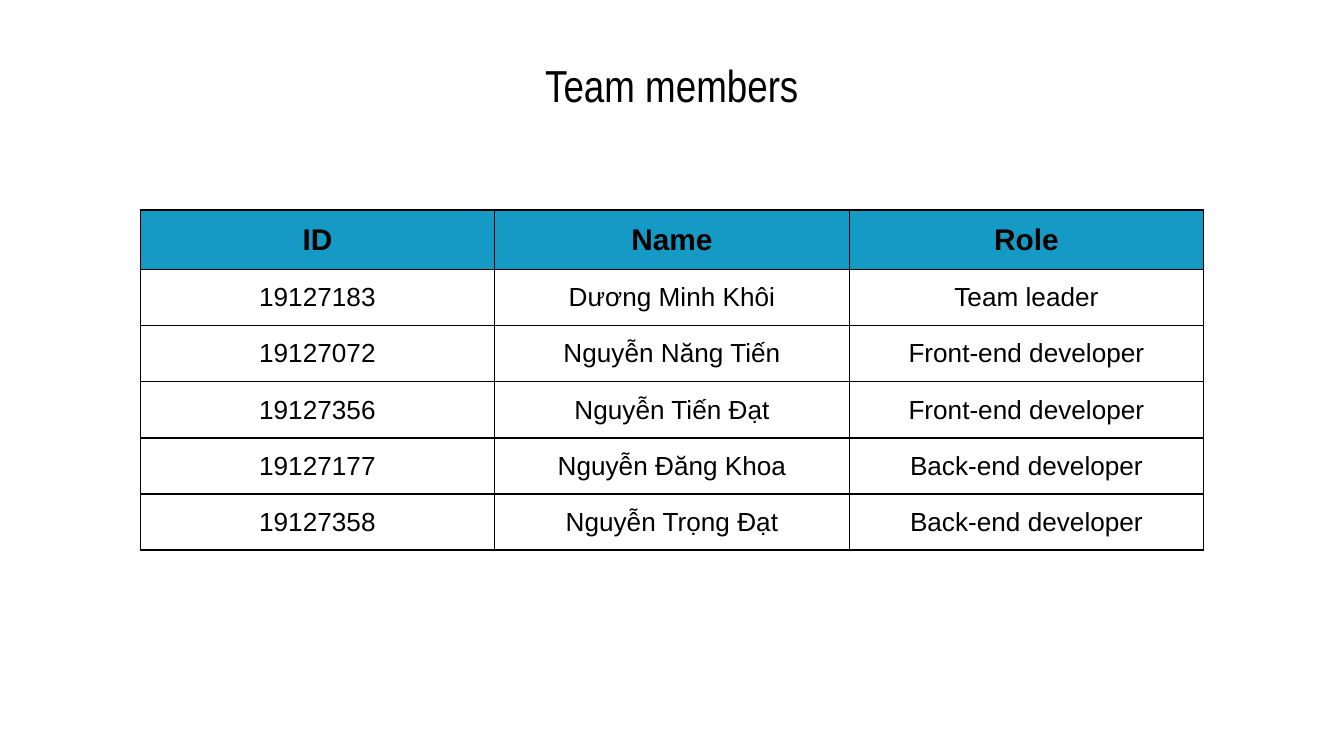
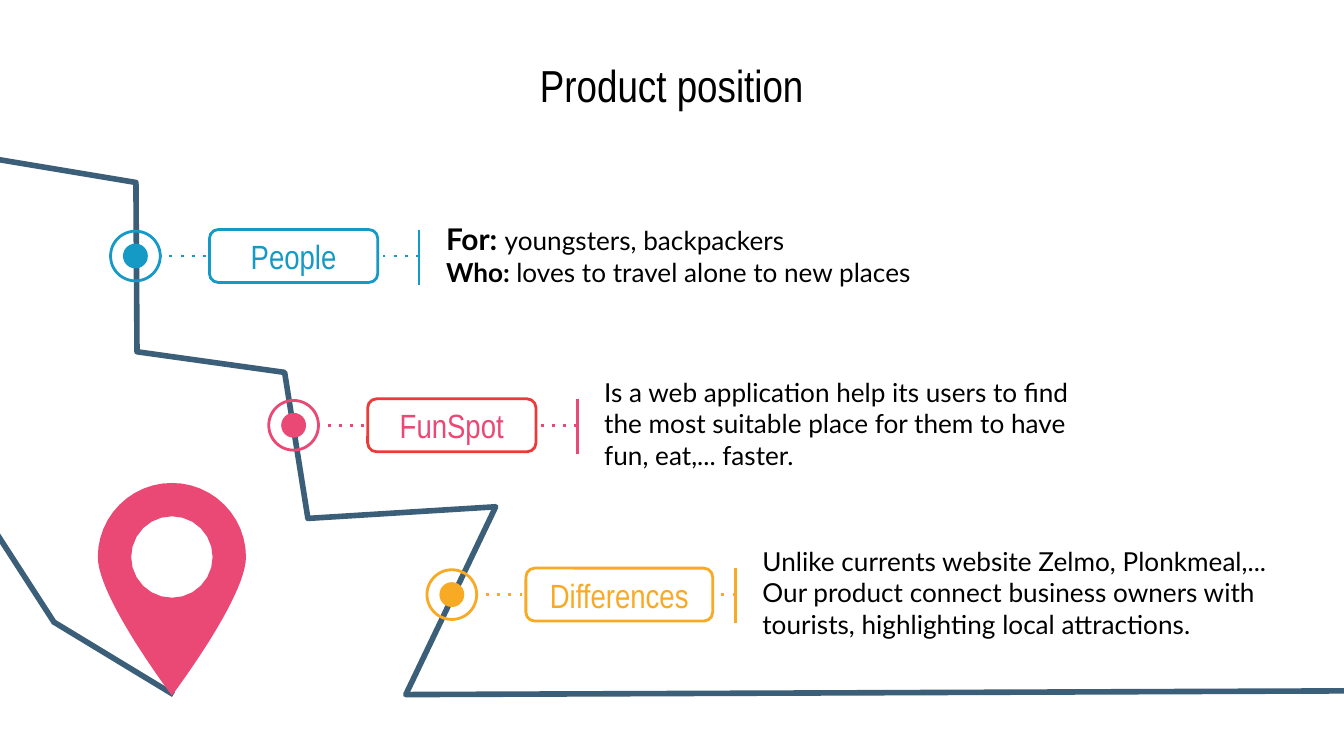
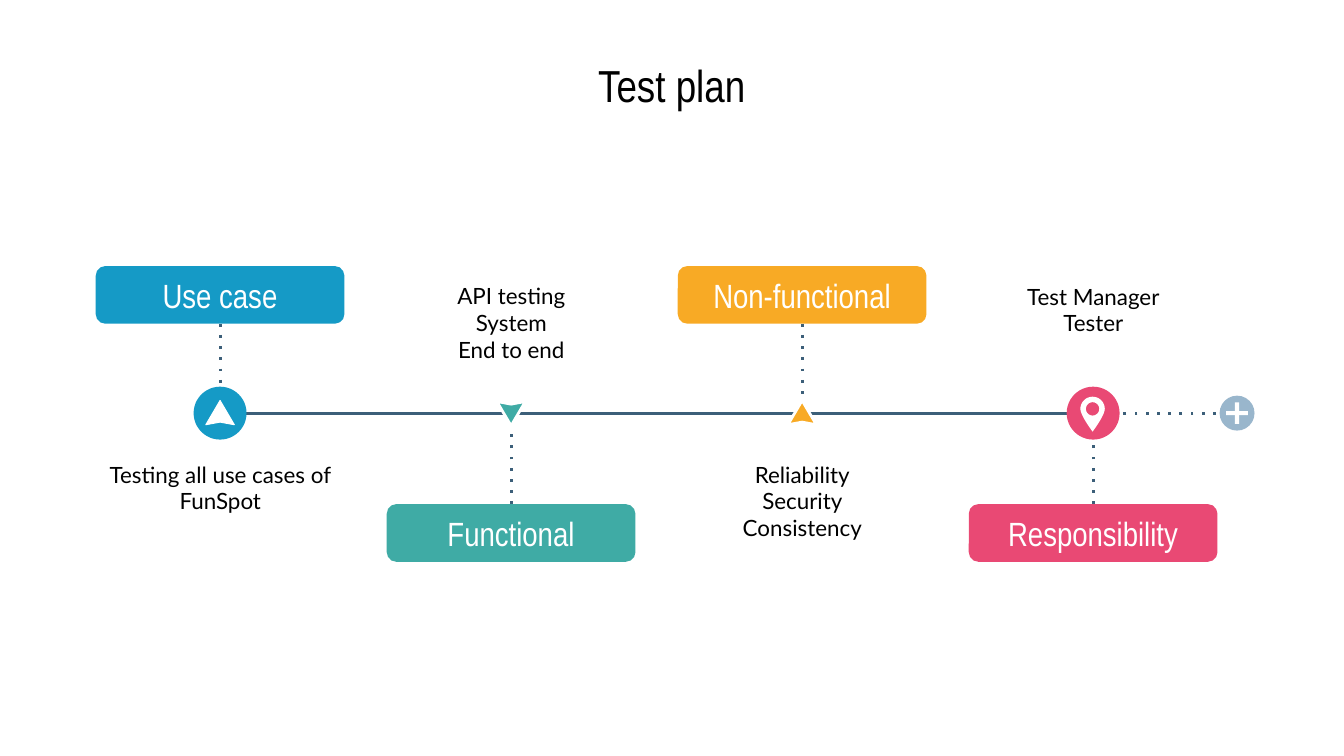
"""Build three project slides: team members, product position and test plan."""
from math import cos, pi, sin

from lxml import etree
from pptx import Presentation
from pptx.dml.color import RGBColor
from pptx.enum.shapes import MSO_CONNECTOR as CONN, MSO_SHAPE as SHAPE
from pptx.enum.text import MSO_ANCHOR as ANCHOR, MSO_AUTO_SIZE as AUTO, PP_ALIGN as ALIGN
from pptx.oxml.ns import qn
from pptx.util import Cm, Pt

BLUE, TEAL, ORANGE, PINK, RED = "159AC6", "3FABA5", "F8AA25", "E94974", "EC3A3B"
NAVY, PALE, WHITE, BLACK = "3C5F79", "99B6CC", "FFFFFF", "000000"
HEAD, BODY, GRID = "Arial Narrow", "Lato", "Arial"


def style(sp, fill=None, line=None, width=1.5, dotted=False):
    """Set fill and line of a shape or connector and drop its shadow."""
    if hasattr(sp, "fill"):
        if fill:
            sp.fill.solid()
            sp.fill.fore_color.rgb = RGBColor.from_string(fill)
        else:
            sp.fill.background()
    if line:
        sp.line.color.rgb = RGBColor.from_string(line)
        sp.line.width = Pt(width)
    else:
        sp.line.fill.background()
    if dotted:
        etree.SubElement(sp.line._get_or_add_ln(), qn("a:prstDash")).set("val", "dot")
    etree.SubElement(sp._element.spPr, qn("a:effectLst"))


def write(tf, lines, size, font, color=BLACK, align=ALIGN.CENTER, anchor=ANCHOR.MIDDLE, bold=False):
    """Write one paragraph per line; a label before a colon turns bold."""
    tf.word_wrap = True
    tf.auto_size = AUTO.NONE
    tf.vertical_anchor = anchor
    tf.margin_left = tf.margin_right = tf.margin_top = tf.margin_bottom = Cm(0.25)
    for i, line in enumerate(lines):
        p = tf.add_paragraph() if i else tf.paragraphs[0]
        p.alignment = align
        label, colon, rest = line.rpartition(": ")
        for text, strong in ((label + colon, True), (rest, bold)):
            if text:
                r = p.add_run()
                r.text = text
                r.font.size, r.font.name, r.font.bold = Pt(size), font, strong
                r.font.color.rgb = RGBColor.from_string(color)


prs = Presentation()
prs.slide_width, prs.slide_height = Cm(25.4), Cm(14.29)
slides = []
for text in ("Team members", "Product position", "Test plan"):
    s = prs.slides.add_slide(prs.slide_layouts[5])
    title = s.shapes.title
    title.left, title.top, title.width, title.height = Cm(5.9), Cm(1.07), Cm(13.59), Cm(1.07)
    write(title.text_frame, [text], 24, HEAD)
    slides.append(s)
team, position, plan = [s.shapes for s in slides]

members = [
    ("ID", "Name", "Role"),
    ("19127183", "Dương Minh Khôi", "Team leader"),
    ("19127072", "Nguyễn Năng Tiến", "Front-end developer"),
    ("19127356", "Nguyễn Tiến Đạt", "Front-end developer"),
    ("19127177", "Nguyễn Đăng Khoa", "Back-end developer"),
    ("19127358", "Nguyễn Trọng Đạt", "Back-end developer"),
]
table = team.add_table(6, 3, Cm(2.65), Cm(3.97), Cm(20.1), Cm(6.36)).table
table.horz_banding = False
for i, member in enumerate(members):
    for j, text in enumerate(member):
        cell = table.cell(i, j)
        write(cell.text_frame, [text], 14 if i else 16, GRID, bold=i == 0)
        cell.vertical_anchor = ANCHOR.MIDDLE
        cell.margin_left = cell.margin_right = cell.margin_top = cell.margin_bottom = Cm(0.25)
        for side in ("a:lnL", "a:lnR", "a:lnT", "a:lnB"):
            ln = etree.SubElement(cell._tc.get_or_add_tcPr(), qn(side), w=str(Pt(0.75)))
            etree.SubElement(etree.SubElement(ln, qn("a:solidFill")), qn("a:srgbClr"), val=BLACK)
        if i == 0:
            cell.fill.solid()
            cell.fill.fore_color.rgb = RGBColor.from_string(BLUE)
        else:
            cell.fill.background()

routes = [
    [(-0.13, 3), (2.57, 3.45), (2.59, 6.65), (5.38, 7.04), (5.82, 9.8), (9.37, 9.58), (7.67, 13.13), (25.45, 13.06)],
    [(3.28, 13.13), (1.02, 11.76), (-0.13, 9.98)],
]
for route in routes:
    points = [(Cm(x), Cm(y)) for x, y in route]
    builder = position.build_freeform(*points[0])
    builder.add_line_segments(points[1:], close=False)
    style(builder.convert_to_shape(), line=NAVY, width=3)

stops = [
    ("People", BLUE, BLUE, 3.18, 11.81, 2.18,
     ["For: youngsters, backpackers", "Who: loves to travel alone to new places"]),
    ("FunSpot", PINK, RED, 3.18, 9.53, 1.88,
     ["Is a web application help its users to find the most suitable place for them to have fun, eat,... faster."]),
    ("Differences", ORANGE, ORANGE, 3.53, 10.62, 2.64,
     ["Unlike currents website Zelmo, Plonkmeal,... Our product connect business owners with tourists, "
      "highlighting local attractions."]),
]
for i, (name, color, border, pill_w, text_w, text_h, lines) in enumerate(stops):
    x, y = 2.56 + 2.99 * i, 4.84 + 3.2 * i
    dots = position.add_connector(CONN.STRAIGHT, Cm(x + 5.36), Cm(y), Cm(x + 0.48), Cm(y))
    style(dots, line=color, dotted=True)
    for size, fill, line in ((0.47, color, None), (0.94, None, color)):
        sp = position.add_shape(SHAPE.OVAL, Cm(x - size / 2), Cm(y - size / 2), Cm(size), Cm(size))
        style(sp, fill, line)
    bar = position.add_connector(CONN.STRAIGHT, Cm(x + 5.36), Cm(y - 0.5), Cm(x + 5.36), Cm(y + 0.54))
    style(bar, line=color)
    pill = position.add_shape(SHAPE.ROUNDED_RECTANGLE, Cm(x + 1.4), Cm(y - 0.5), Cm(pill_w), Cm(1))
    style(pill, WHITE, border)
    write(pill.text_frame, [name], 18, HEAD, color)
    box = position.add_textbox(Cm(x + 5.62), Cm(y - 0.04 - text_h / 2), Cm(text_w), Cm(text_h))
    write(box.text_frame, lines, 14, BODY, align=ALIGN.LEFT)
    if i == 0:
        box.text_frame.paragraphs[0].runs[0].font.size = Pt(16)

axis = 7.81
for start, end, dotted in ((23.19, 21.21, True), (4.04, 20.73, False)):
    line = plan.add_connector(CONN.STRAIGHT, Cm(start), Cm(axis), Cm(end), Cm(axis))
    style(line, line=NAVY, dotted=dotted)
for kind, w, h, fill in ((SHAPE.OVAL, 0.66, 0.66, PALE), (SHAPE.RECTANGLE, 0.41, 0.08, WHITE),
                         (SHAPE.RECTANGLE, 0.08, 0.41, WHITE)):
    style(plan.add_shape(kind, Cm(23.38 - w / 2), Cm(axis - h / 2), Cm(w), Cm(h)), fill)

stages = [
    ("Use case", BLUE, ["Testing all use cases of FunSpot"]),
    ("Functional", TEAL, ["API testing", "System", "End to end"]),
    ("Non-functional", ORANGE, ["Reliability", "Security", "Consistency"]),
    ("Responsibility", PINK, ["Test Manager", "Tester"]),
]
for i, (name, color, lines) in enumerate(stages):
    x, card_up = 4.16 + 5.5 * i, i % 2 == 0
    card = plan.add_shape(SHAPE.ROUNDED_RECTANGLE, Cm(x - 2.35), Cm(5.03 if card_up else 9.53), Cm(4.7), Cm(1.09))
    style(card, color)
    write(card.text_frame, [name], 18, HEAD, WHITE)
    end = Cm(7.44 if card_up else 8.1)
    dots = plan.add_connector(CONN.STRAIGHT, Cm(x), Cm(axis), Cm(x), end)
    dots.begin_connect(card, 2 if card_up else 0)
    style(dots, line=NAVY, dotted=True)
    if i in (0, 3):
        style(plan.add_shape(SHAPE.OVAL, Cm(x - 0.5), Cm(axis - 0.5), Cm(1), Cm(1)), color)
    if i < 3:
        turn = 1 if card_up else -1
        arrow = [(Cm(x + dx), Cm(axis + turn * dy)) for dx, dy in ((0, -0.24), (-0.27, 0.22), (0, 0.17), (0.27, 0.22))]
        builder = plan.build_freeform(*arrow[0])
        builder.add_line_segments(arrow[1:])
        style(builder.convert_to_shape(), color if i else WHITE, WHITE, 1.5 if i else 0.5)
    box = plan.add_textbox(Cm(x - 2.46), Cm(8.46 if card_up else 4.52), Cm(4.93), Cm(2.59))
    write(box.text_frame, lines, 12, BODY, anchor=ANCHOR.TOP if card_up else ANCHOR.BOTTOM)
    if not card_up:
        box.text_frame.margin_bottom = Cm(0.25 + 0.5 * (3 - len(lines)))

steps = [k / 24 for k in range(25)]
outline = [(-cos(pi * t), -sin(pi * t)) for t in steps]
outline += [((1 - t) ** 2 * (1 + 2 * t), 1.64 * t * (1 - t) ** 2 + 1.87 * t * t * (3 - 2 * t)) for t in steps[1:]]
outline += [(-x, y) for x, y in outline[-2:24:-1]]
hole = [(0.55 * cos(2 * pi * t), 0.55 * sin(2 * pi * t)) for t in steps]
for shapes, x, y, radius, fill in ((position, 3.25, 10.53, 1.4, PINK), (plan, 20.65, 7.73, 0.23, WHITE)):
    rim, eye = [[(Cm(x + radius * dx), Cm(y + radius * dy)) for dx, dy in ring] for ring in (outline, hole)]
    builder = shapes.build_freeform(*rim[0])
    builder.add_line_segments(rim[1:])
    builder.move_to(*eye[0])
    builder.add_line_segments(eye[1:])
    style(builder.convert_to_shape(), fill)

prs.save("out.pptx")
